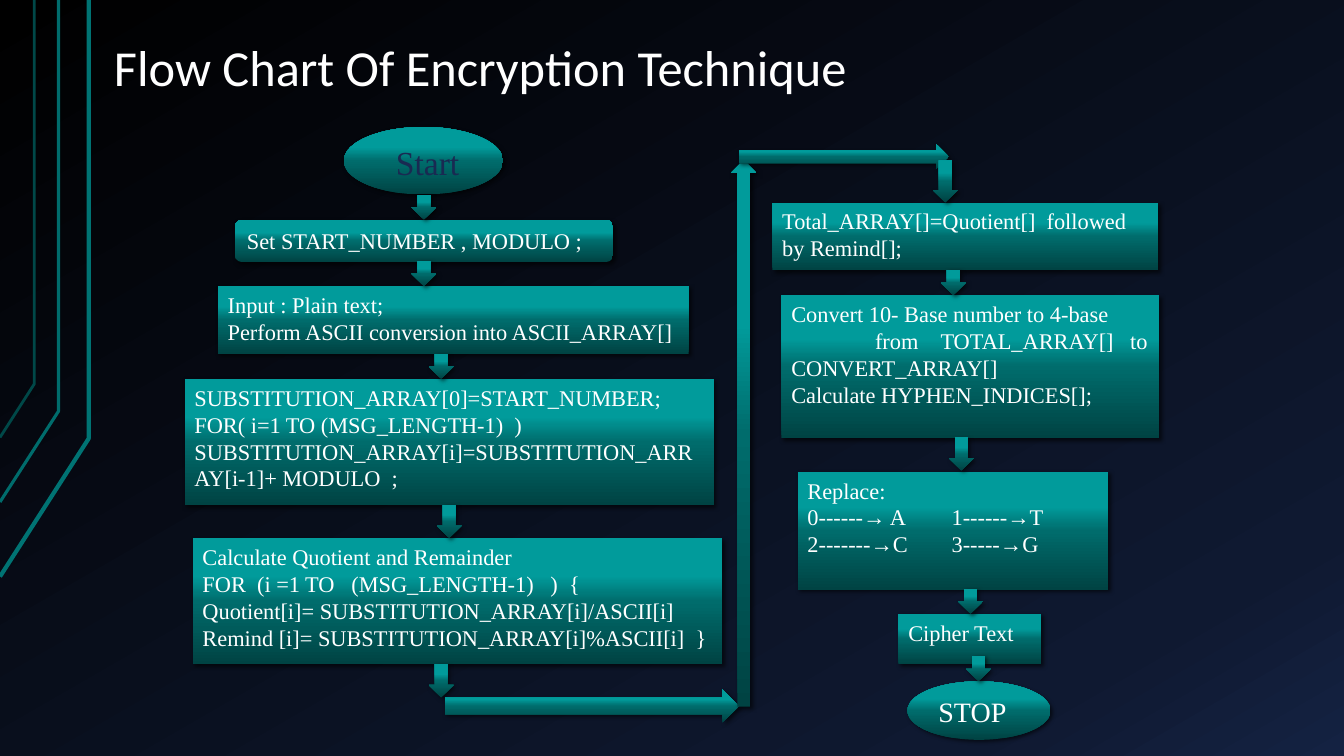
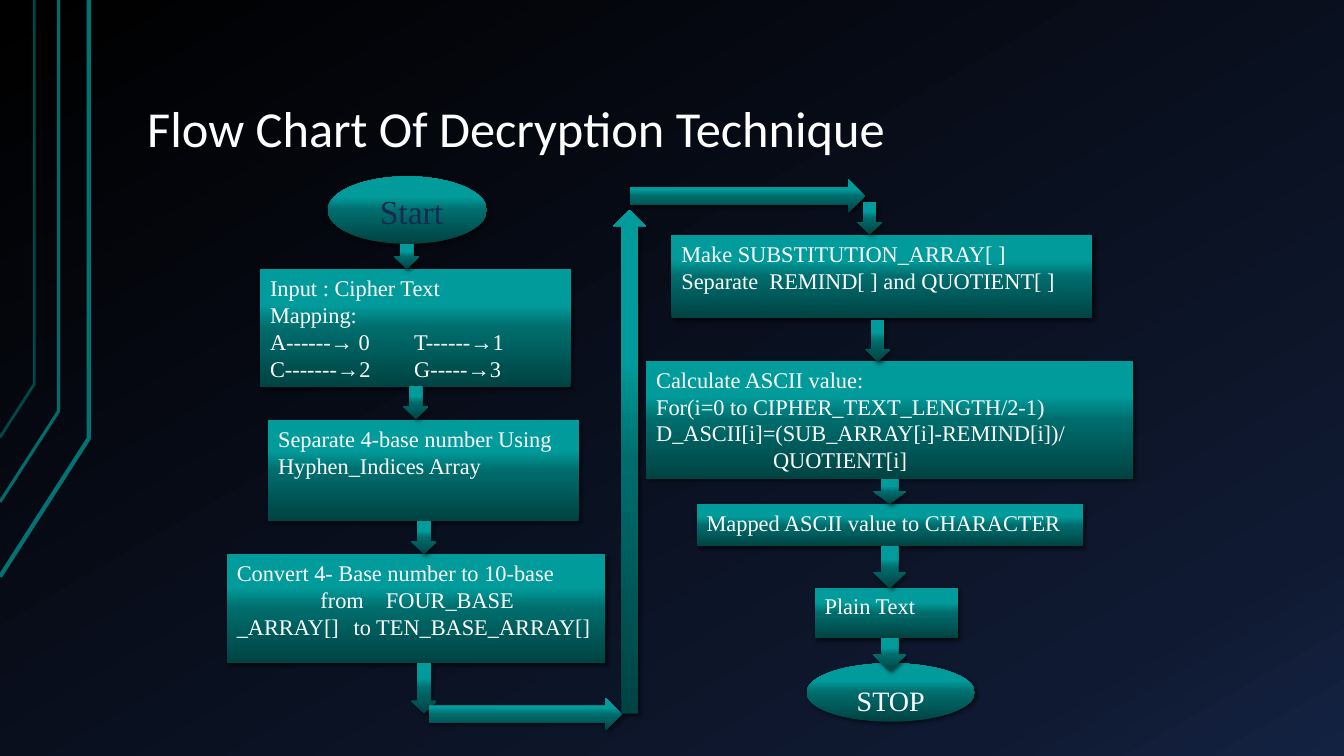
from lxml import etree
from pptx import Presentation
from pptx.dml.color import RGBColor
from pptx.enum.shapes import MSO_SHAPE
from pptx.enum.text import MSO_ANCHOR, PP_ALIGN
from pptx.oxml.ns import qn
from pptx.util import Inches, Pt

RECT, ROUND, OVAL = MSO_SHAPE.RECTANGLE, MSO_SHAPE.ROUNDED_RECTANGLE, MSO_SHAPE.OVAL
DOWN, UP, RIGHT = MSO_SHAPE.DOWN_ARROW, MSO_SHAPE.UP_ARROW, MSO_SHAPE.RIGHT_ARROW
LEFT_ALIGN, CENTER = PP_ALIGN.LEFT, PP_ALIGN.CENTER
BOTTOM, TOP = MSO_ANCHOR.BOTTOM, MSO_ANCHOR.TOP

WHITE, NAVY = "FFFFFF", "192A52"
TITLE_FONT, BODY_FONT = "Calibri", "Times New Roman"
BACKGROUND_STOPS = [(0, "000000"), (85, "0F1931"), (100, "142242")]
TEAL_STOPS = [(0, "004343"), (50, "006C6C"), (70, "019B9B"), (100, "009999")]

# colour, width in points, corner points in inches
CORNER_LINES = [
    ("007373", 3, [(0, 5.72), (0.88, 4.35), (0.88, 0)]),
    ("006C6C", 2.25, [(0, 4.98), (0.58, 4.08), (0.58, 0)]),
    ("004848", 2, [(0, 4.34), (0.34, 3.81), (0.34, 0)]),
]

# left, top, width, height, lines, tab stops
ENCRYPTION_BOXES = [
    (1.83, 3.76, 5.25, 1.25, [
        "SUBSTITUTION_ARRAY[0]=START_NUMBER;",
        "FOR( i=1 TO (MSG_LENGTH-1)  )",
        "SUBSTITUTION_ARRAY[i]=SUBSTITUTION_ARRAY[i-1]+ MODULO  ;"], ()),
    (1.91, 5.34, 5.25, 1.25, [
        "Calculate Quotient and Remainder",
        "FOR  (i =1 TO   (MSG_LENGTH-1)   )  {",
        "Quotient[i]= SUBSTITUTION_ARRAY[i]/ASCII[i]",
        "Remind [i]= SUBSTITUTION_ARRAY[i]%ASCII[i]  }"], ()),
    (7.66, 2.01, 3.83, 0.67, ["Total_ARRAY[]=Quotient[]  followed by Remind[];"], ()),
    (7.75, 2.93, 3.75, 1.42, [
        "Convert 10- Base number to 4-base",
        "\tfrom\tTOTAL_ARRAY[]\tto",
        "CONVERT_ARRAY[]",
        "Calculate HYPHEN_INDICES[];"], (0.83, 1.48, 3.36)),
    (7.91, 4.68, 3.08, 1.17, [
        "Replace:", "0------→ A\t1------→T", "2-------→C\t3-----→G"], (1.43,)),
    (8.91, 6.09, 1.42, 0.5, ["Cipher Text"], ()),
    (2.16, 2.84, 4.67, 0.67, [
        "Input : Plain text;", "Perform ASCII conversion into ASCII_ARRAY[]"], ()),
]

# kind, left, top, width, height
ENCRYPTION_ARROWS = [
    (DOWN, 4.08, 1.93, 0.25, 0.25),
    (DOWN, 4.08, 2.59, 0.25, 0.25),
    (DOWN, 4.25, 3.51, 0.25, 0.25),
    (DOWN, 4.33, 5.01, 0.25, 0.33),
    (DOWN, 4.25, 6.59, 0.25, 0.33),
    (RIGHT, 4.41, 6.84, 2.92, 0.33),
    (UP, 7.25, 1.59, 0.25, 5.42),
    (RIGHT, 7.33, 1.43, 2.08, 0.25),
    (DOWN, 9.25, 1.59, 0.25, 0.42),
    (DOWN, 9.33, 2.68, 0.25, 0.25),
    (DOWN, 9.41, 4.34, 0.25, 0.33),
    (DOWN, 9.5, 5.84, 0.25, 0.25),
    (DOWN, 9.58, 6.51, 0.25, 0.25),
]

DECRYPTION_BOXES = [
    (2.58, 2.67, 3.08, 1.17, [
        "Input : Cipher Text", "Mapping:",
        "A------→ 0\tT------→1", "C-------→2\tG-----→3"], (1.43,)),
    (2.66, 4.17, 3.08, 1, ["Separate 4-base number Using", "Hyphen_Indices Array"], ()),
    (2.25, 5.5, 3.75, 1.08, [
        "Convert 4- Base number to 10-base",
        "\tfrom\tFOUR_BASE",
        "_ARRAY[]\tto TEN_BASE_ARRAY[]"], (0.83, 1.16, 1.48)),
    (6.66, 2.33, 4.17, 0.83, [
        "Make SUBSTITUTION_ARRAY[ ]", "Separate  REMIND[ ] and QUOTIENT[ ]"], ()),
    (6.41, 3.58, 4.83, 1.17, [
        "Calculate ASCII value:",
        "For(i=0 to CIPHER_TEXT_LENGTH/2-1)",
        "D_ASCII[i]=(SUB_ARRAY[i]-REMIND[i])/",
        "\tQUOTIENT[i]"], (1.16,)),
    (6.91, 5, 3.83, 0.42, ["Mapped ASCII value to CHARACTER"], ()),
    (8.08, 5.83, 1.42, 0.5, ["Plain Text"], ()),
]

DECRYPTION_ARROWS = [
    (DOWN, 3.91, 2.42, 0.25, 0.25),
    (DOWN, 4, 3.83, 0.25, 0.33),
    (DOWN, 4.08, 5.17, 0.25, 0.33),
    (DOWN, 4.08, 6.58, 0.25, 0.5),
    (RIGHT, 4.25, 6.92, 1.92, 0.33),
    (UP, 6.08, 2.08, 0.33, 5),
    (RIGHT, 6.25, 1.78, 2.33, 0.33),
    (DOWN, 8.5, 2, 0.25, 0.33),
    (DOWN, 8.58, 3.17, 0.25, 0.42),
    (DOWN, 8.66, 4.75, 0.33, 0.25),
    (DOWN, 8.66, 5.42, 0.33, 0.42),
    (DOWN, 8.66, 6.33, 0.33, 0.33),
]


def rgb(value):
    return RGBColor.from_string(value)


def set_gradient(fill, element, stops, angle):
    """Fill with any number of stops; the angle runs clockwise."""
    fill.gradient()
    fill.gradient_angle = 360 - angle
    stop_list = next(element.iter(qn("a:gsLst")))
    for old in list(stop_list):
        stop_list.remove(old)
    for position, colour in stops:
        stop = etree.SubElement(stop_list, qn("a:gs"), pos=str(position * 1000))
        etree.SubElement(stop, qn("a:srgbClr"), val=colour)


def add_shadow(sp):
    sp.shadow.inherit = False
    effects = sp.element.spPr.find(qn("a:effectLst"))
    outer = etree.SubElement(effects, qn("a:outerShdw"), blurRad=str(Pt(3)),
                             dist=str(Pt(2)), dir="2700000", rotWithShape="0")
    colour = etree.SubElement(outer, qn("a:srgbClr"), val="000000")
    etree.SubElement(colour, qn("a:alpha"), val="60000")


def style_run(r, size, font, colour):
    r.font.size = Pt(size)
    r.font.name = font
    r.font.color.rgb = rgb(colour)


def set_tabs(p, tabs):
    tab_list = etree.SubElement(p._p.get_or_add_pPr(), qn("a:tabLst"))
    for tab in tabs:
        etree.SubElement(tab_list, qn("a:tab"), pos=str(Inches(tab)), algn="l")


def add_teal_shape(slide, kind, left, top, width, height):
    sp = slide.shapes.add_shape(kind, Inches(left), Inches(top),
                                Inches(width), Inches(height))
    set_gradient(sp.fill, sp.element, TEAL_STOPS, 270)
    sp.line.fill.background()
    add_shadow(sp)
    return sp


def add_node(slide, kind, left, top, width, height, lines, tabs=(),
             size=16, colour=WHITE, align=LEFT_ALIGN):
    sp = add_teal_shape(slide, kind, left, top, width, height)
    tf = sp.text_frame
    tf.word_wrap = True
    tf.vertical_anchor = TOP
    tf.text = "\n".join(lines)
    for p in tf.paragraphs:
        p.alignment = align
        if tabs:
            set_tabs(p, tabs)
        for r in p.runs:
            style_run(r, size, BODY_FONT, colour)
    return sp


def add_start(slide, left, top):
    add_node(slide, OVAL, left, top, 1.58, 0.67, [" Start"],
             size=24, colour=NAVY, align=CENTER)


def add_flow(slide, boxes, arrows):
    for left, top, width, height, lines, tabs in boxes:
        add_node(slide, RECT, left, top, width, height, lines, tabs)
    for arrow in arrows:
        add_teal_shape(slide, *arrow)


def add_titled_slide(prs, title, left, top, height):
    slide = prs.slides.add_slide(prs.slide_layouts[5])
    sp = slide.shapes.title
    sp.left, sp.top = Inches(left), Inches(top)
    sp.width, sp.height = Inches(11.33), Inches(height)
    tf = sp.text_frame
    tf.text = title
    tf.word_wrap = True
    tf.vertical_anchor = BOTTOM
    tf.margin_left = tf.margin_right = Inches(0.13)
    tf.margin_top = tf.margin_bottom = Inches(0.07)
    p = tf.paragraphs[0]
    p.alignment = LEFT_ALIGN
    p.line_spacing = 0.9
    style_run(p.runs[0], 36, TITLE_FONT, WHITE)
    return slide


def decorate_master(master, slide):
    """Set the background; draw the corner lines on a slide and move them to the master."""
    set_gradient(master.background.fill, master.element, BACKGROUND_STOPS, 60)
    for colour, width, points in CORNER_LINES:
        start, *rest = [(Inches(x), Inches(y)) for x, y in points]
        builder = slide.shapes.build_freeform(*start)
        builder.add_line_segments(rest, close=False)
        sp = builder.convert_to_shape()
        sp.fill.background()
        sp.line.color.rgb = rgb(colour)
        sp.line.width = Pt(width)
        sp.shadow.inherit = False
        master.shapes.element.append(sp.element)


def build_encryption(prs):
    slide = add_titled_slide(prs, "Flow Chart Of Encryption Technique", 1, 0.24, 0.8)
    add_start(slide, 3.41, 1.26)
    add_node(slide, ROUND, 2.33, 2.18, 3.75, 0.42, ["Set START_NUMBER , MODULO ;"])
    add_node(slide, OVAL, 9, 6.76, 1.42, 0.58, ["STOP"], size=20)
    add_flow(slide, ENCRYPTION_BOXES, ENCRYPTION_ARROWS)
    return slide


def build_decryption(prs):
    slide = add_titled_slide(prs, "Flow Chart Of Decryption Technique", 1.33, 0.3, 1.34)
    add_start(slide, 3.25, 1.75)
    stop = add_node(slide, OVAL, 8, 6.58, 1.67, 0.58, ["STOP"], size=20, align=CENTER)
    stop.text_frame.margin_top = Inches(0.12)
    add_flow(slide, DECRYPTION_BOXES, DECRYPTION_ARROWS)


def main():
    prs = Presentation()
    prs.slide_width, prs.slide_height = Inches(13.33), Inches(7.5)
    first = build_encryption(prs)
    build_decryption(prs)
    decorate_master(prs.slide_master, first)
    prs.save("out.pptx")


if __name__ == "__main__":
    main()
